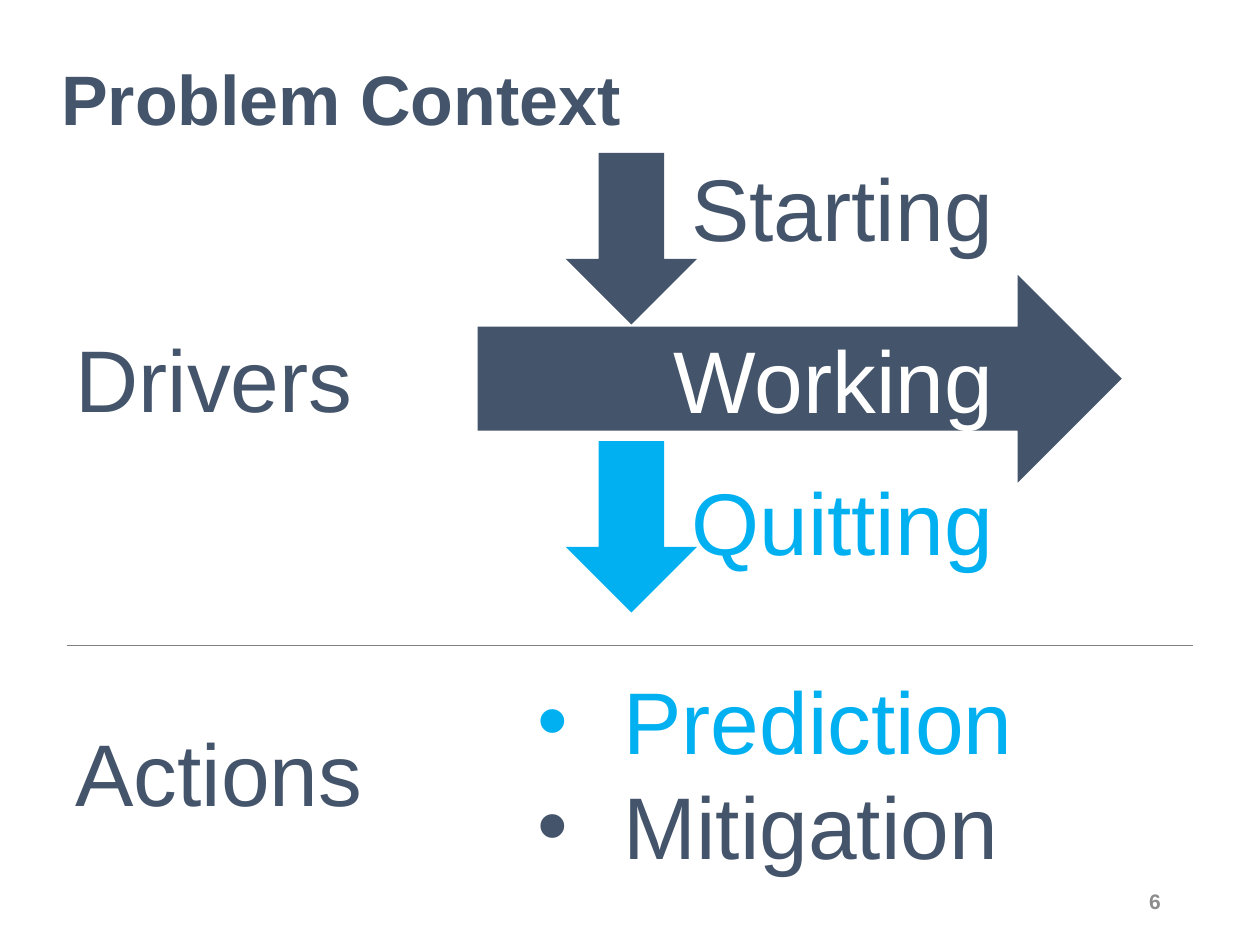
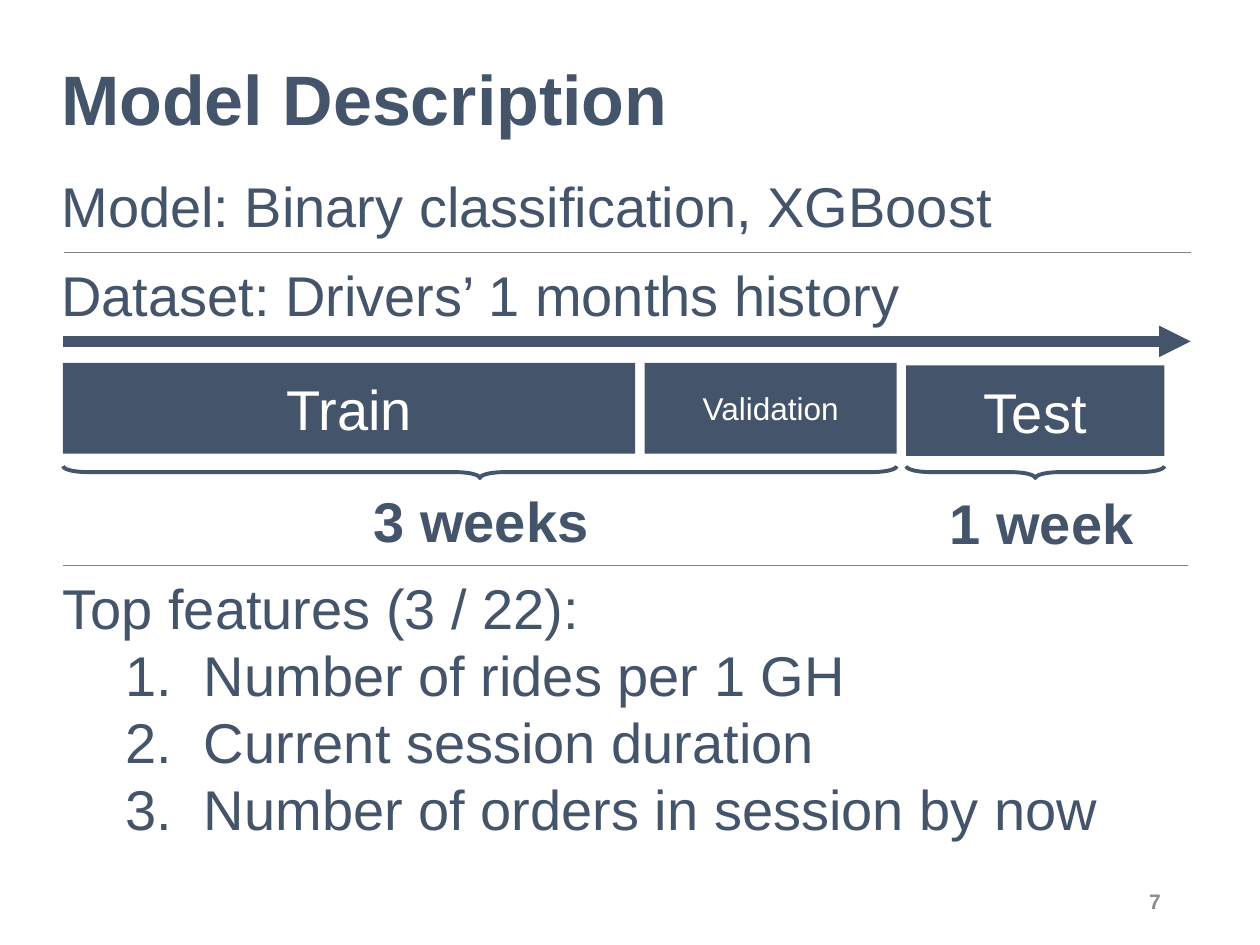
from lxml import etree
from pptx import Presentation
from pptx.dml.color import RGBColor
from pptx.enum.shapes import MSO_CONNECTOR, MSO_SHAPE
from pptx.enum.text import MSO_ANCHOR, PP_ALIGN
from pptx.oxml.ns import qn
from pptx.util import Pt

STRAIGHT = MSO_CONNECTOR.STRAIGHT
RECTANGLE = MSO_SHAPE.RECTANGLE
RIGHT_ARROW = MSO_SHAPE.RIGHT_ARROW
DOWN_ARROW = MSO_SHAPE.DOWN_ARROW
RIGHT_BRACE = MSO_SHAPE.RIGHT_BRACE
TOP, MIDDLE = MSO_ANCHOR.TOP, MSO_ANCHOR.MIDDLE
LEFT, CENTER, RIGHT = PP_ALIGN.LEFT, PP_ALIGN.CENTER, PP_ALIGN.RIGHT

COLOURS = {
    "slate": "44546A",
    "sky": "00B0F0",
    "white": "FFFFFF",
    "rule": "808080",
    "number": "8C8C8C",
}
FONT = "Arial"
PAGE_WIDTH, PAGE_HEIGHT = 720, 540
MARGIN = 28  # left indent of running text
TITLE_SIZE, LARGE, MEDIUM, SMALL, NUMBER_SIZE = 40, 50, 32, 18, 12


def colour(name):
    return RGBColor.from_string(COLOURS[name])


# Shared building blocks

def write(frame, lines, size, ink="slate", bold=False, align=LEFT,
          anchor=TOP, indent=0):
    """Fill a text frame with one paragraph per line."""
    frame.word_wrap = True
    frame.vertical_anchor = anchor
    for index, line in enumerate(lines):
        para = frame.paragraphs[0] if index == 0 else frame.add_paragraph()
        para.alignment = align
        set_indent(para, indent)
        span = para.add_run()
        span.text = line
        span.font.name = FONT
        span.font.size = Pt(size)
        span.font.bold = bold
        span.font.color.rgb = colour(ink)
    return frame.paragraphs


def set_indent(para, left, first=0):
    properties = para._p.get_or_add_pPr()
    properties.set("marL", str(Pt(left)))
    properties.set("indent", str(Pt(first)))


def set_marker(para, tag, left, first, **attributes):
    set_indent(para, left, first)
    properties = para._p.get_or_add_pPr()
    font = etree.SubElement(properties, qn("a:buFont"))
    font.set("typeface", FONT)
    etree.SubElement(properties, qn(tag), attributes)


def add_text(page, box, lines, size, **style):
    text_box = page.shapes.add_textbox(*map(Pt, box))
    return write(text_box.text_frame, lines, size, **style)


def add_filled(page, kind, box, fill="slate"):
    shape = page.shapes.add_shape(kind, *map(Pt, box))
    shape.shadow.inherit = False
    shape.fill.solid()
    shape.fill.fore_color.rgb = colour(fill)
    shape.line.fill.background()
    return shape


def add_line(page, left, right, y, ink="rule", weight=0.5, arrow=False):
    line = page.shapes.add_connector(STRAIGHT, Pt(left), Pt(y), Pt(right), Pt(y))
    line.line.color.rgb = colour(ink)
    line.line.width = Pt(weight)
    if arrow:
        outline = line.line._get_or_add_ln()
        etree.SubElement(outline, qn("a:tailEnd"), type="triangle")
    etree.SubElement(line._element.spPr, qn("a:effectLst"))


def add_under_brace(page, box):
    """Turn a right brace so that it spans the box and points down."""
    left, top, width, height = box
    upright = (left + (width - height) / 2, top + (height - width) / 2,
               height, width)
    brace = page.shapes.add_shape(RIGHT_BRACE, *map(Pt, upright))
    brace.rotation = 90
    brace.adjustments[0] = 2.08
    brace.shadow.inherit = False
    brace.fill.background()
    brace.line.color.rgb = colour("slate")
    brace.line.width = Pt(2.25)


def add_page(deck, title, number):
    page = deck.slides.add_slide(deck.slide_layouts[6])
    add_text(page, (0, 28, PAGE_WIDTH, 54), [title], TITLE_SIZE,
             bold=True, indent=MARGIN)
    add_text(page, (508.3, 500.4, 162, 28.8), [str(number)], NUMBER_SIZE,
             ink="number", bold=True, align=RIGHT, anchor=MIDDLE)
    return page


# Problem context

def add_row_label(page, box, label):
    add_text(page, box, [label], LARGE, indent=MARGIN)


def add_driver_flow(page, box):
    left, top, width, _ = box
    # Working: the long arrow
    working = add_filled(page, RIGHT_ARROW, (left, top + 70, width, 118.8))
    write(working.text_frame, ["Working"], LARGE, ink="white",
          anchor=MIDDLE, indent=105)
    # Starting and quitting: arrows in and out
    steps = [("Starting", "slate", 0.4, 1), ("Quitting", "sky", 165, 180.7)]
    for label, ink, arrow_top, label_top in steps:
        add_filled(page, DOWN_ARROW, (left + 50.3, top + arrow_top, 75, 98), ink)
        add_text(page, (left + 87, top + label_top, width - 87, 60), [label],
                 LARGE, ink=ink, anchor=MIDDLE, indent=MARGIN)


def add_action_list(page, box):
    paras = add_text(page, box, ["Prediction", "Mitigation"], LARGE,
                     anchor=MIDDLE)
    for para in paras:
        set_marker(para, "a:buChar", 148.3, -49, char="•")
    paras[0].runs[0].font.color.rgb = colour("sky")


def build_problem_context(deck):
    page = add_page(deck, "Problem Context", 6)
    add_driver_flow(page, (273, 87, 368, 263))
    add_row_label(page, (8, 182.2, 230, 67.7), "Drivers")
    add_line(page, 38.2, 681.8, 368.6)
    add_row_label(page, (8, 407.5, 230, 67.7), "Actions")
    add_action_list(page, (200.9, 342.7, 519, 197.3))


# Model description

def add_timeline(page, box):
    left, top, width, _ = box
    add_line(page, left, left + width, top, "slate", 6, arrow=True)

    # Data blocks in a row
    blocks = [("Train", 327, MEDIUM, 0), ("Validation", 144, SMALL, 0),
              ("Test", 147.6, MEDIUM, 1.4)]
    gap = 5.4
    block_left = left
    for label, block_width, size, drop in blocks:
        block = add_filled(page, RECTANGLE,
                           (block_left, top + 12.3 + drop, block_width, 51.8))
        write(block.text_frame, [label], size, ink="white",
              align=CENTER, anchor=MIDDLE)
        block_left += block_width + gap

    # Braces with the length of each period
    periods = [("3 weeks", 0, 476.4, 0.7, 0), ("1 week", 481.8, 147.6, 3.6, 1.4)]
    label_width = 170
    for label, offset, span_width, shift, drop in periods:
        start = left + offset
        add_under_brace(page, (start, top + 71.3, span_width, 6.8))
        label_left = start + (span_width - label_width) / 2 + shift
        add_text(page, (label_left, top + 79.2 + drop, label_width, 46),
                 [label], MEDIUM, bold=True, align=CENTER)


def add_feature_list(page, box):
    lines = ["Top features (3 / 22):", "Number of rides per 1 GH",
             "Current session duration", "Number of orders in session by now"]
    paras = add_text(page, box, lines, MEDIUM, indent=MARGIN)
    for para in paras[1:]:
        set_marker(para, "a:buAutoNum", 108.7, -44.6, type="arabicPeriod")


def build_model_description(deck):
    page = add_page(deck, "Model Description", 7)
    add_text(page, (0, 90.7, PAGE_WIDTH, 53.3),
             ["Model: Binary classification, XGBoost"], MEDIUM,
             anchor=MIDDLE, indent=MARGIN)
    add_line(page, 36.7, 680.4, 144)
    add_text(page, (0, 145.4, PAGE_WIDTH, 46),
             ["Dataset: Drivers’ 1 months history"], MEDIUM, indent=MARGIN)
    add_timeline(page, (36, 195.1, 644.4, 126))
    add_line(page, 36, 679, 323.3)
    add_feature_list(page, (0.7, 324, PAGE_WIDTH - 0.7, 163.4))


def main():
    deck = Presentation()
    deck.slide_width = Pt(PAGE_WIDTH)
    deck.slide_height = Pt(PAGE_HEIGHT)
    build_problem_context(deck)
    build_model_description(deck)
    deck.save("out.pptx")


if __name__ == "__main__":
    main()
